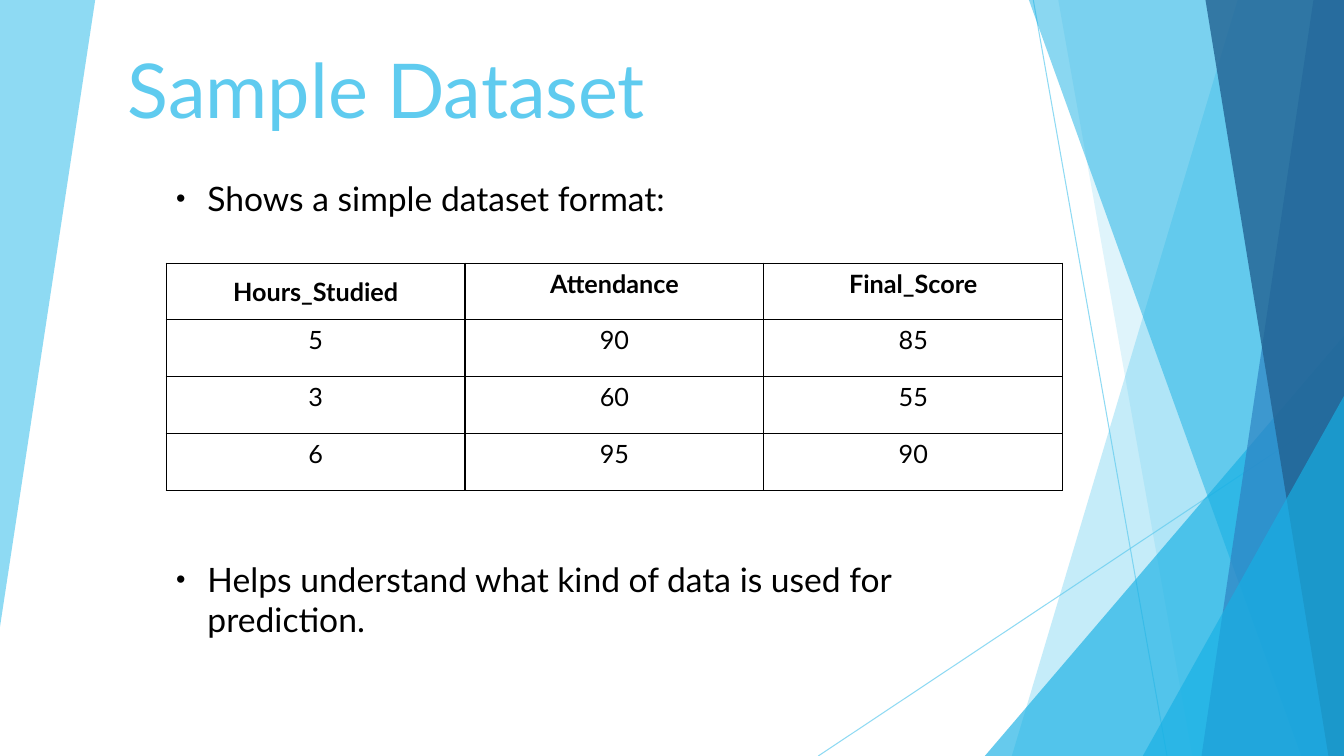
from lxml import etree
from pptx import Presentation
from pptx import util as u
from pptx.dml import color
from pptx.enum import shapes, text
from pptx.oxml import ns

WIDTH, HEIGHT = 33.87, 19.05
COLORS = {
    "sky": "5FCBEF",
    "cyan": "17B0E4",
    "blue": "2E83C3",
    "navy": "226292",
    "black": "000000",
}
DATASET = [
    ["Hours_Studied", "Attendance", "Final_Score"],
    ["5", "90", "85"],
    ["3", "60", "55"],
    ["6", "95", "90"],
]


def add_element(parent, tag, **attributes):
    return etree.SubElement(parent, ns.qn(tag), attributes)


def write_text(paragraph, words, size=18, color_name="black", bold=False,
               align=text.PP_ALIGN.LEFT, font="Lato", before=0):
    paragraph.alignment = align
    paragraph.space_before = u.Pt(before)
    run = paragraph.add_run()
    run.text = words
    run.font.name = font
    run.font.size = u.Pt(size)
    run.font.bold = bold
    run.font.color.rgb = color.RGBColor.from_string(COLORS[color_name])


class SlideBuilder:
    def __init__(self, slide):
        self.slide = slide

    def paint(self, fill, color_name, opacity):
        fill.solid()
        fill.fore_color.rgb = color.RGBColor.from_string(COLORS[color_name])
        solid = fill._xPr.find(ns.qn("a:solidFill"))
        add_element(solid[0], "a:alpha", val=str(opacity * 1000))

    def finish(self, shape, color_name, opacity):
        shape.shadow.inherit = False
        self.paint(shape.fill, color_name, opacity)
        shape.line.fill.background()

    def polygon(self, points, color_name, opacity):
        start, *rest = [(u.Cm(x), u.Cm(y)) for x, y in points]
        builder = self.slide.shapes.build_freeform(*start)
        builder.add_line_segments(rest, close=True)
        self.finish(builder.convert_to_shape(), color_name, opacity)

    def band(self, top, bottom, color_name, opacity):
        corners = [(top, 0), (WIDTH, 0), (WIDTH, HEIGHT), (bottom, HEIGHT)]
        self.polygon(corners, color_name, opacity)

    def corner_triangle(self, left, top, color_name, opacity):
        shape = self.slide.shapes.add_shape(
            shapes.MSO_SHAPE.ISOSCELES_TRIANGLE, u.Cm(left), u.Cm(top),
            u.Cm(WIDTH - left), u.Cm(HEIGHT - top))
        shape.adjustments[0] = 1
        self.finish(shape, color_name, opacity)

    def line(self, start, end, color_name, opacity):
        connector = self.slide.shapes.add_connector(
            shapes.MSO_CONNECTOR.STRAIGHT, *map(u.Cm, start + end))
        connector.line.width = u.Pt(0.75)
        self.paint(connector.line.fill, color_name, opacity)
        add_element(connector._element.spPr, "a:effectLst")

    def text_box(self, left, top, width, height, anchor):
        box = self.slide.shapes.add_textbox(*map(u.Cm, (left, top, width, height)))
        frame = box.text_frame
        frame.word_wrap = True
        frame.vertical_anchor = anchor
        return frame

    def title(self, words, *place):
        frame = self.text_box(*place, text.MSO_ANCHOR.BOTTOM)
        write_text(frame.paragraphs[0], words, size=54, color_name="sky",
                   align=text.PP_ALIGN.RIGHT)

    def bullets(self, items, *place):
        frame = self.text_box(*place, text.MSO_ANCHOR.TOP)
        for index, (words, before) in enumerate(items):
            paragraph = frame.add_paragraph() if index else frame.paragraphs[0]
            write_text(paragraph, words, size=24, before=before)
            properties = paragraph._p.get_or_add_pPr()
            properties.set("marL", str(u.Cm(0.79)))
            properties.set("indent", str(u.Cm(-0.79)))
            bullet_color = add_element(properties, "a:buClr")
            add_element(bullet_color, "a:srgbClr", val=COLORS["black"])
            add_element(properties, "a:buSzPct", val="80000")
            add_element(properties, "a:buFont", typeface="Arial")
            add_element(properties, "a:buChar", char="•")

    def border(self, cell):
        properties = cell._tc.get_or_add_tcPr()
        for index, side in enumerate(("a:lnL", "a:lnR", "a:lnT", "a:lnB")):
            edge = etree.Element(ns.qn(side), w=str(u.Pt(1)))
            fill = add_element(edge, "a:solidFill")
            add_element(fill, "a:srgbClr", val=COLORS["black"])
            properties.insert(index, edge)

    def table(self, rows, left, top, column_width, row_height):
        columns = len(rows[0])
        table = self.slide.shapes.add_table(
            len(rows), columns, u.Cm(left), u.Cm(top),
            u.Cm(column_width * columns), u.Cm(row_height * len(rows))).table
        table.first_row = False
        table.horz_banding = False
        for column in table.columns:
            column.width = u.Cm(column_width)
        for row_index, values in enumerate(rows):
            table.rows[row_index].height = u.Cm(row_height)
            for column_index, value in enumerate(values):
                cell = table.cell(row_index, column_index)
                cell.fill.background()
                self.border(cell)
                write_text(cell.text_frame.paragraphs[0], value,
                           bold=row_index == 0, align=text.PP_ALIGN.CENTER)
        table.cell(0, 0).vertical_anchor = text.MSO_ANCHOR.MIDDLE


def main():
    presentation = Presentation()
    presentation.slide_width = u.Cm(WIDTH)
    presentation.slide_height = u.Cm(HEIGHT)
    slide = presentation.slides.add_slide(presentation.slide_layouts[6])
    builder = SlideBuilder(slide)

    builder.polygon([(0, 0), (2.4, 0), (0, 15.8)], "sky", 70)
    builder.line((26.04, 0), (29.41, HEIGHT), "sky", 70)
    builder.line((WIDTH, 10.24), (20.62, HEIGHT), "sky", 70)
    builder.band(31.19, 25.5, "sky", 36)
    builder.band(26.67, 30.05, "sky", 20)
    builder.corner_triangle(24.82, 8.46, "cyan", 66)
    builder.band(25.93, 32.79, "cyan", 50)
    builder.band(33.1, 30.28, "blue", 70)
    builder.band(30.38, 33.48, "navy", 80)
    builder.corner_triangle(28.8, 9.98, "cyan", 66)

    builder.title("Sample Dataset", -5.05, -0.46, 21.56, 3.96)
    builder.bullets([
        ("Shows a simple dataset format:", 0),
        ("Helps understand what kind of data is used for prediction.", 243),
    ], 4.19, 4.37, 21.56, 12.12)
    builder.table(DATASET, 4.19, 6.63, 7.53, 1.43)

    presentation.save("out.pptx")


if __name__ == "__main__":
    main()
